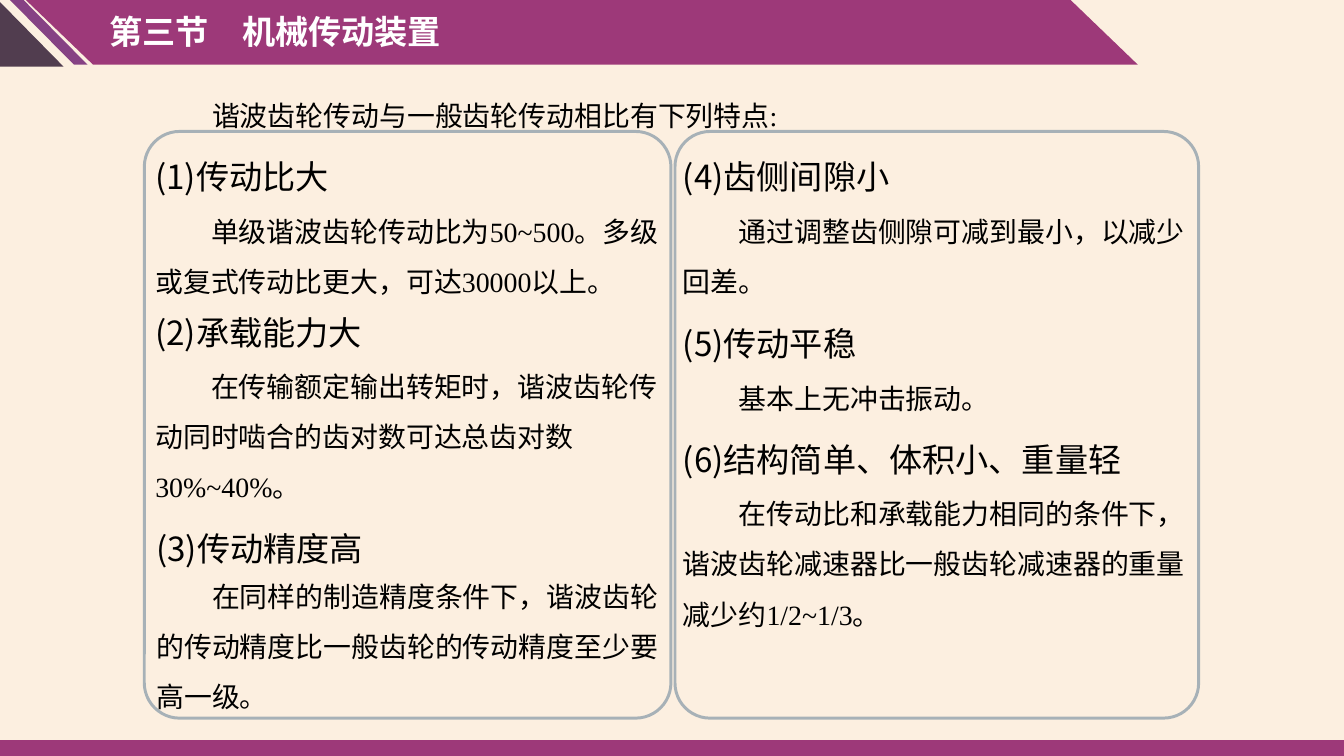
from typing import NamedTuple

from lxml.etree import SubElement
from pptx import Presentation
from pptx.dml.color import RGBColor
from pptx.enum.shapes import MSO_SHAPE as Preset
from pptx.enum.text import MSO_AUTO_SIZE as AutoSize
from pptx.oxml.ns import qn
from pptx.slide import Slide
from pptx.util import Pt

PX = 9525
WIDTH, HEIGHT = 1350, 759
CREAM = RGBColor(0xFC, 0xEF, 0xE0)
MAGENTA = RGBColor(0x9D, 0x39, 0x79)
VIOLET = RGBColor(0x86, 0x42, 0x84)
PLUM = RGBColor(0x51, 0x3D, 0x4F)
NAVY = RGBColor(0x18, 0x49, 0x72)
BLACK = RGBColor(0, 0, 0)
WHITE = RGBColor(0xFF, 0xFF, 0xFF)
SANS = "Noto Sans CJK SC"
SERIF = "Times New Roman"
INSET = 11
FIRST_LINE_INDENT = 56
COLUMN_WIDTH = 530


class Box(NamedTuple):
    left: int
    top: int
    width: int
    height: int

    def emu(self) -> list[int]:
        return [length * PX for length in self]


class Band(NamedTuple):
    preset: Preset
    box: Box
    fill: RGBColor
    slant: float | None = None


class Style(NamedTuple):
    size: int
    font: str
    color: RGBColor = BLACK
    bold: bool = False
    spacing: float = 1.5
    indent: int = 0


class Feature(NamedTuple):
    left: int
    heading_top: int
    heading: str
    body_top: int
    body_height: int
    body: str


TITLE = Style(25, SANS, WHITE, bold=True, spacing=1.0)
HEADING = Style(25, SANS)
BODY = Style(21, SERIF, indent=FIRST_LINE_INDENT)

BANDS = [
    Band(Preset.PARALLELOGRAM, Box(26, 0, 1117, 65), MAGENTA, 1.04),
    Band(Preset.RIGHT_TRIANGLE, Box(-2, 0, 66, 67), PLUM),
    Band(Preset.PARALLELOGRAM, Box(10, 0, 78, 65), VIOLET, 0.99),
    Band(Preset.RECTANGLE, Box(0, 743, WIDTH, HEIGHT - 743), MAGENTA),
]
FRAMES = [Box(145, 132, 529, 589), Box(678, 132, 526, 589)]
FEATURES = [
    Feature(145, 132, "(1)传动比大", 194, 112,
            "单级谐波齿轮传动比为50~500。多级或复式传动比更大，可达30000以上。"),
    Feature(145, 289, "(2)承载能力大", 349, 163,
            "在传输额定输出转矩时，谐波齿轮传动同时啮合的齿对数可达总齿对数30%~40%。"),
    Feature(146, 505, "(3)传动精度高", 560, 163,
            "在同样的制造精度条件下，谐波齿轮的传动精度比一般齿轮的传动精度至少要高一级。"),
    Feature(675, 132, "(4)齿侧间隙小", 194, 112,
            "通过调整齿侧隙可减到最小，以减少回差。"),
    Feature(675, 300, "(5)传动平稳", 361, 55, "基本上无冲击振动。"),
    Feature(675, 416, "(6)结构简单、体积小、重量轻", 477, 163,
            "在传动比和承载能力相同的条件下，谐波齿轮减速器比一般齿轮减速器的重量减少约1/2~1/3。"),
]


def add_band(slide: Slide, band: Band) -> None:
    shape = slide.shapes.add_shape(band.preset, *band.box.emu())
    shape.shadow.inherit = False
    shape.fill.solid()
    shape.fill.fore_color.rgb = band.fill
    shape.line.fill.background()
    if band.slant is not None:
        shape.adjustments[0] = band.slant
        shape.element.spPr.get_or_add_xfrm().set("flipH", "1")


def add_frame(slide: Slide, box: Box) -> None:
    shape = slide.shapes.add_shape(Preset.ROUNDED_RECTANGLE, *box.emu())
    shape.shadow.inherit = False
    shape.adjustments[0] = 0.067
    shape.fill.background()
    shape.line.color.rgb = NAVY
    shape.line.width = Pt(2.25)
    color = shape.element.spPr.find(f".//{qn('a:ln')}//{qn('a:srgbClr')}")
    SubElement(color, qn("a:alpha"), val="36000")


def add_text(slide: Slide, box: Box, text: str, style: Style) -> None:
    frame = slide.shapes.add_textbox(*box.emu()).text_frame
    frame.word_wrap = True
    frame.auto_size = AutoSize.SHAPE_TO_FIT_TEXT
    frame.margin_left = frame.margin_right = INSET * PX
    frame.margin_top = frame.margin_bottom = 5 * PX
    paragraph = frame.paragraphs[0]
    paragraph.text = text
    paragraph.line_spacing = style.spacing
    properties = paragraph._p.get_or_add_pPr()
    properties.set("marL", "0")
    properties.set("indent", str(style.indent * PX))
    font = paragraph.font
    font.size = Pt(style.size)
    font.name = style.font
    font.bold = style.bold
    font.color.rgb = style.color
    SubElement(properties.find(qn("a:defRPr")), qn("a:ea"), typeface=SANS)


def add_feature(slide: Slide, feature: Feature) -> None:
    heading_box = Box(feature.left, feature.heading_top, COLUMN_WIDTH, 61)
    body_box = Box(feature.left, feature.body_top, COLUMN_WIDTH, feature.body_height)
    add_text(slide, heading_box, feature.heading, HEADING)
    add_text(slide, body_box, feature.body, BODY)


def main() -> None:
    presentation = Presentation()
    presentation.slide_width = WIDTH * PX
    presentation.slide_height = HEIGHT * PX
    slide = presentation.slides.add_slide(presentation.slide_layouts[6])
    slide.background.fill.solid()
    slide.background.fill.fore_color.rgb = CREAM

    for band in BANDS:
        add_band(slide, band)
    add_text(slide, Box(99, 6, 836, 51), "第三节\u3000机械传动装置".replace("\u3000", "　"), TITLE)
    add_text(slide, Box(146, 77, 1058, 55), "谐波齿轮传动与一般齿轮传动相比有下列特点:", BODY)
    for feature in FEATURES:
        add_feature(slide, feature)
    for box in FRAMES:
        add_frame(slide, box)
    presentation.save("out.pptx")


if __name__ == "__main__":
    main()
